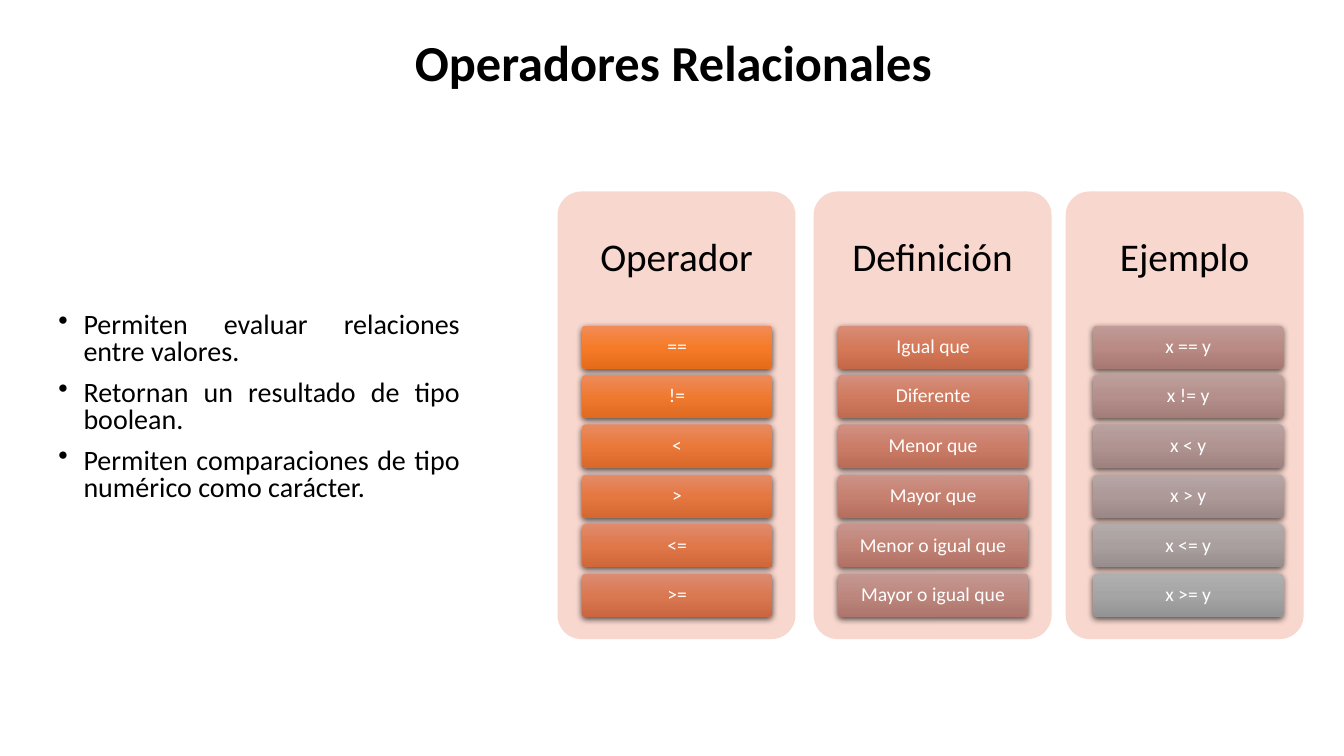
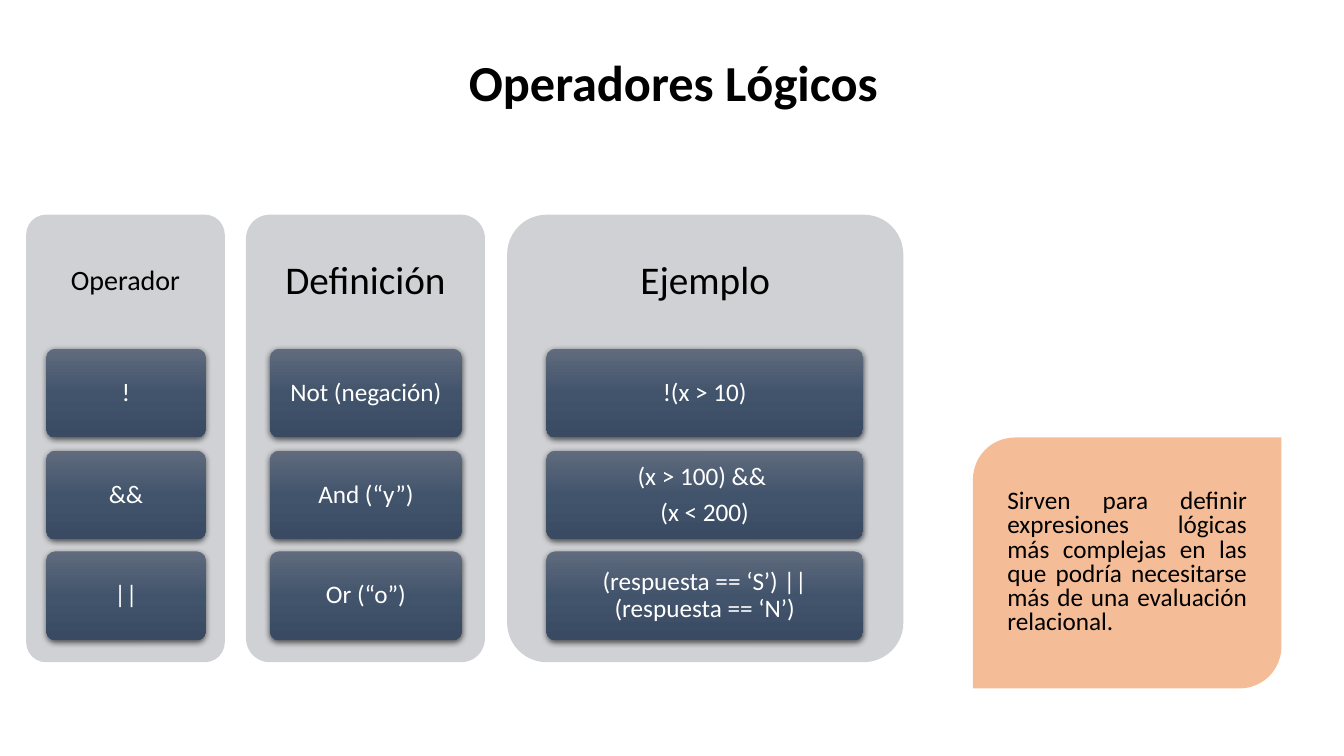
from colorsys import hls_to_rgb, rgb_to_hls
from copy import deepcopy

from pptx import Presentation
from pptx.dml.color import RGBColor
from pptx.enum.shapes import MSO_SHAPE as SHAPE
from pptx.enum.text import MSO_ANCHOR as ANCHOR, MSO_AUTO_SIZE as AUTO, PP_ALIGN as ALIGN
from pptx.oxml import parse_xml
from pptx.oxml.ns import nsdecls, qn
from pptx.util import Pt

PX = 9144
FONT = "Calibri"
COLORS = {"text": "000000", "light": "FFFFFF", "peach": "F8D7CE", "gray": "CFD1D4", "orange": "ED7D31"}
WARM = ("F18C57", "F67B28", "E56C19")
NEUTRAL = ("AFAFAF", "A5A5A5", "939393")
SLATE = ("606B7D", "42546C", "394A62")
PANEL_H, HEAD_H, CARDS_H, CARD_GAP = 444, 133, 289, 0.15


def rgb(name):
    return RGBColor.from_string(COLORS.get(name, name))


def blend(start, end, share):
    a, b = (rgb_to_hls(*(v / 255 for v in rgb(c))) for c in (start, end))
    mix = hls_to_rgb(*(u + (v - u) * share for u, v in zip(a, b)))
    return "".join(f"{round(v * 255):02X}" for v in mix)


def ramp(first, last, count):
    return [[blend(a, b, i / (count - 1)) for a, b in zip(first, last)] for i in range(count)]


class Deck:
    def __init__(self):
        self.prs = Presentation()
        self.prs.slide_width, self.prs.slide_height = 1333 * PX, 750 * PX
        self.slide = None

    def new_slide(self, title, y, h):
        self.slide = self.prs.slides.add_slide(self.prs.slide_layouts[5])
        s = self.slide.shapes.title
        s.left, s.top, s.width, s.height = (v * PX for v in (218, y, 900, h))
        self.set_text(s, [title], 36, bold=True)

    def set_text(self, s, lines, size, color="text", align=ALIGN.CENTER, spacing=0.9,
                 before=0, after=0, bold=False, anchor=ANCHOR.MIDDLE, margins=(10, 5, 10, 5)):
        tf = s.text_frame
        tf.word_wrap, tf.auto_size, tf.vertical_anchor = True, AUTO.NONE, anchor
        tf.margin_left, tf.margin_top, tf.margin_right, tf.margin_bottom = (m * PX for m in margins)
        tf.text = "\n".join(lines)
        for p in tf.paragraphs:
            p.alignment, p.line_spacing = align, spacing
            p.space_before, p.space_after = Pt(before), Pt(after)
            p.font.name, p.font.size, p.font.bold = FONT, Pt(size), bold
            p.font.color.rgb = rgb(color)

    def bullets(self, x, y, w, h, lines):
        s = self.slide.shapes.add_textbox(x * PX, y * PX, w * PX, h * PX)
        self.set_text(s, lines, 20, align=ALIGN.JUSTIFY, spacing=0.8, before=10, anchor=ANCHOR.TOP)
        for p in s.text_frame.paragraphs:
            pPr = p._p.get_or_add_pPr()
            pPr.set("marL", str(25 * PX))
            pPr.set("indent", str(-25 * PX))
            bullet = parse_xml(f'<a:buChar {nsdecls("a")} char="•"/>')
            pPr.insert_element_before(bullet, "a:tabLst", "a:defRPr", "a:extLst")

    def shape(self, kind, x, y, w, h):
        s = self.slide.shapes.add_shape(kind, x * PX, y * PX, w * PX, h * PX)
        s.shadow.inherit = False
        s.line.fill.background()
        return s

    def rounded(self, x, y, w, h):
        s = self.shape(SHAPE.ROUNDED_RECTANGLE, x, y, w, h)
        s.adjustments[0] = 0.1
        return s

    def panel(self, x, y, w, color, heading, size):
        s = self.rounded(x, y, w, PANEL_H)
        s.fill.solid()
        s.fill.fore_color.rgb = rgb(color)
        self.set_text(s, [heading], size, after=0.35 * size, margins=(5, 0, 5, PANEL_H - HEAD_H))

    def card(self, x, y, w, h, text, size, colors):
        s = self.rounded(x, y, w, h)
        s.fill.gradient()
        s.fill.gradient_angle = 270
        spPr = s._element.spPr
        stop = spPr.find(f".//{qn('a:gs')}")
        stop.addnext(deepcopy(stop))
        for gs, color, position in zip(s.fill.gradient_stops, colors, (0, 0.5, 1)):
            gs.color.rgb, gs.position = rgb(color), position
        spPr.find(qn("a:effectLst")).append(parse_xml(
            f'<a:outerShdw {nsdecls("a")} blurRad="57150" dist="19050" dir="5400000" '
            'algn="ctr" rotWithShape="0"><a:srgbClr val="000000"><a:alpha val="63000"/>'
            '</a:srgbClr></a:outerShdw>'))
        self.set_text(s, text.split("\n"), size, "light", after=0.35 * size, margins=(4, 3, 4, 3))

    def column(self, x, card_x, y, w, color, heading, head_size, texts, size, gradients):
        self.panel(x, y, w, color, heading, head_size)
        n = len(texts)
        h = CARDS_H / (n + CARD_GAP * (n - 1))
        for i, (text, colors) in enumerate(zip(texts, gradients)):
            top = y + HEAD_H + round(i * h * (1 + CARD_GAP))
            self.card(card_x, top, round(0.8 * w), round(h), text, size, colors)

    def note(self, x, y, w, h, text):
        s = self.shape(SHAPE.ROUND_2_DIAG_RECTANGLE, x, y, w, h)
        s.fill.solid()
        s.fill.fore_color.rgb = rgb("orange")
        color = s._element.spPr.find(f"{qn('a:solidFill')}/{qn('a:srgbClr')}")
        color.append(parse_xml(f'<a:alpha {nsdecls("a")} val="50000"/>'))
        self.set_text(s, [text], 18, align=ALIGN.JUSTIFY, spacing=0.8, margins=(22, 5, 22, 5))


def relational(deck):
    deck.new_slide("Operadores Relacionales", 33, 64)
    deck.bullets(48, 306, 418, 248, [
        "Permiten evaluar relaciones entre valores.",
        "Retornan un resultado de tipo boolean.",
        "Permiten comparaciones de tipo numérico como carácter.",
    ])
    operators = ["==", "!=", "<", ">", "<=", ">="]
    meanings = ["Igual que", "Diferente", "Menor que", "Mayor que",
                "Menor o igual que", "Mayor o igual que"]
    columns = [
        (553, 577, "Operador", operators),
        (807, 831, "Definición", meanings),
        (1057, 1084, "Ejemplo", [f"x {op} y" for op in operators]),
    ]
    n = len(operators)
    gradients = ramp(WARM, NEUTRAL, n * len(columns))
    for i, (x, card_x, heading, texts) in enumerate(columns):
        deck.column(x, card_x, 190, 236, "peach", heading, 28, texts, 14, gradients[i * n:(i + 1) * n])


def logical(deck):
    deck.new_slide("Operadores Lógicos", 36, 98)
    columns = [
        (26, 197, "Operador", 20, ["!", "&&", "||"]),
        (244, 237, "Definición", 28, ["Not (negación)", "And (“y”)", "Or (“o”)"]),
        (503, 393, "Ejemplo", 28, ["!(x > 10)", "(x > 100) && \n(x < 200)",
                                   "(respuesta == ‘S’) || (respuesta == ‘N’)"]),
    ]
    for x, w, heading, head_size, texts in columns:
        deck.column(x, x + round(0.1 * w), 213, w, "gray", heading, head_size, texts, 18,
                    [SLATE] * len(texts))
    deck.note(965, 434, 306, 249, "Sirven para definir expresiones lógicas más complejas en las que "
              "podría necesitarse más de una evaluación relacional.")


def main():
    deck = Deck()
    relational(deck)
    logical(deck)
    deck.prs.save("out.pptx")


if __name__ == "__main__":
    main()
